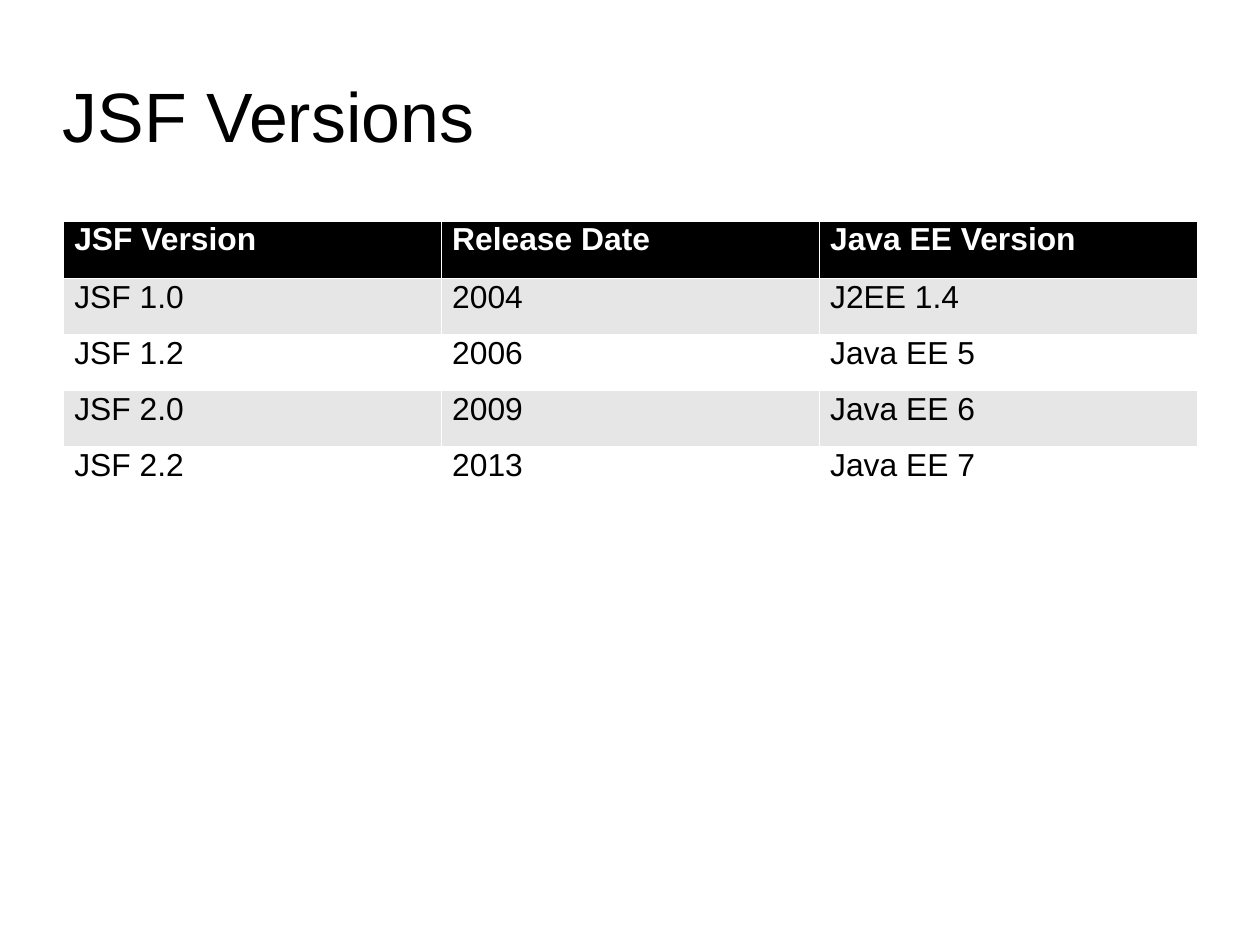
import pptx
import pptx.dml.color
import pptx.enum.text
import pptx.oxml.ns
import pptx.util
from lxml import etree

Inches, Pt = pptx.util.Inches, pptx.util.Pt

# Content
TITLE = "JSF Versions"
ROWS = [
    ("JSF Version", "Release Date", "Java EE Version"),
    ("JSF 1.0", "2004", "J2EE 1.4"),
    ("JSF 1.2", "2006", "Java EE 5"),
    ("JSF 2.0", "2009", "Java EE 6"),
    ("JSF 2.2", "2013", "Java EE 7"),
]

# Layout and colours
LEFT, WIDTH = 0.55, 9.92
TABLE_TOP, HEADER_HEIGHT, ROW_HEIGHT = 1.93, 0.5, 0.49
BLACK, WHITE, GREY = "000000", "FFFFFF", "E6E6E6"
BORDER_WIDTH = Pt(0.06)


def color(value):
    return pptx.dml.color.RGBColor.from_string(value)


def format_text(tf, size, text_color, bold, spacing):
    p = tf.paragraphs[0]
    p.alignment = pptx.enum.text.PP_ALIGN.LEFT
    p.line_spacing = spacing
    font = p.runs[0].font
    font.name, font.size, font.bold = "Arial", Pt(size), bold
    font.color.rgb = color(text_color)


def set_margins(box, left, top, right, bottom):
    box.margin_left, box.margin_right = Inches(left), Inches(right)
    box.margin_top, box.margin_bottom = Inches(top), Inches(bottom)


def add_borders(cell, line_color):
    qn = pptx.oxml.ns.qn
    tcPr = cell._tc.get_or_add_tcPr()
    for side in ("a:lnL", "a:lnR", "a:lnT", "a:lnB"):
        ln = etree.SubElement(tcPr, qn(side), w=str(int(BORDER_WIDTH)))
        fill = etree.SubElement(ln, qn("a:solidFill"))
        etree.SubElement(fill, qn("a:srgbClr"), val=line_color)


# The page is 28 by 21 cm
prs = pptx.Presentation()
prs.slide_width = pptx.util.Cm(28)
prs.slide_height = pptx.util.Cm(21)
slide = prs.slides.add_slide(prs.slide_layouts[5])

# Title
title = slide.shapes.title
title.left, title.top = Inches(LEFT), Inches(0.33)
title.width, title.height = Inches(WIDTH), Inches(1.38)
tf = title.text_frame
tf.text = TITLE
tf.word_wrap = True
tf.auto_size = pptx.enum.text.MSO_AUTO_SIZE.NONE
tf.vertical_anchor = pptx.enum.text.MSO_ANCHOR.MIDDLE
set_margins(tf, 0, 0.04, 0, 0)
format_text(tf, 44, BLACK, False, 0.93)

# Version table: black header, then alternating grey and white rows
table_height = HEADER_HEIGHT + ROW_HEIGHT * (len(ROWS) - 1)
table = slide.shapes.add_table(
    len(ROWS), len(ROWS[0]), Inches(LEFT), Inches(TABLE_TOP),
    Inches(WIDTH), Inches(table_height)).table
for r, values in enumerate(ROWS):
    header = r == 0
    table.rows[r].height = Inches(HEADER_HEIGHT if header else ROW_HEIGHT)
    row_fill = BLACK if header else (GREY if r % 2 else WHITE)
    for c, value in enumerate(values):
        cell = table.cell(r, c)
        cell.text_frame.text = value
        cell.vertical_anchor = pptx.enum.text.MSO_ANCHOR.TOP
        set_margins(cell, 0.1, 0.05, 0.1, 0.05)
        format_text(cell.text_frame, 20, WHITE if header else BLACK, header, 0.87)
        add_borders(cell, WHITE)
        cell.fill.solid()
        cell.fill.fore_color.rgb = color(row_fill)

prs.save("out.pptx")
